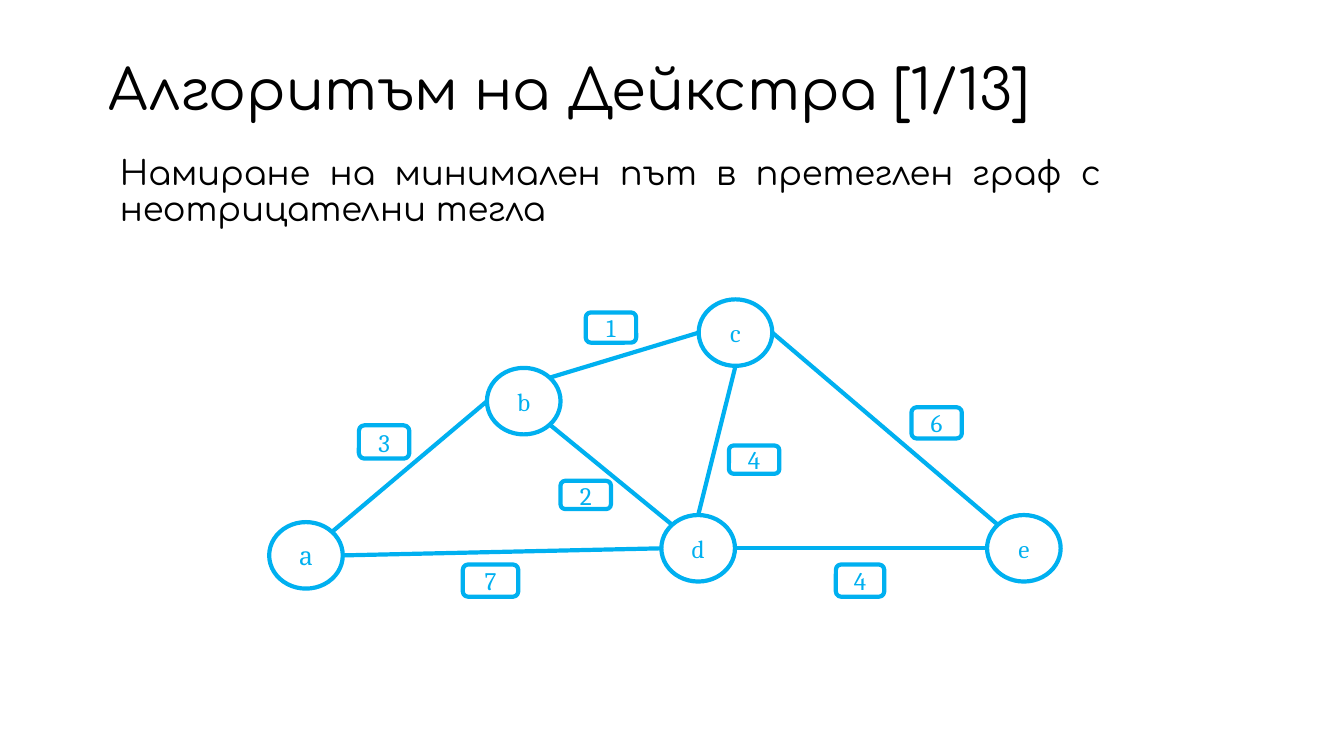
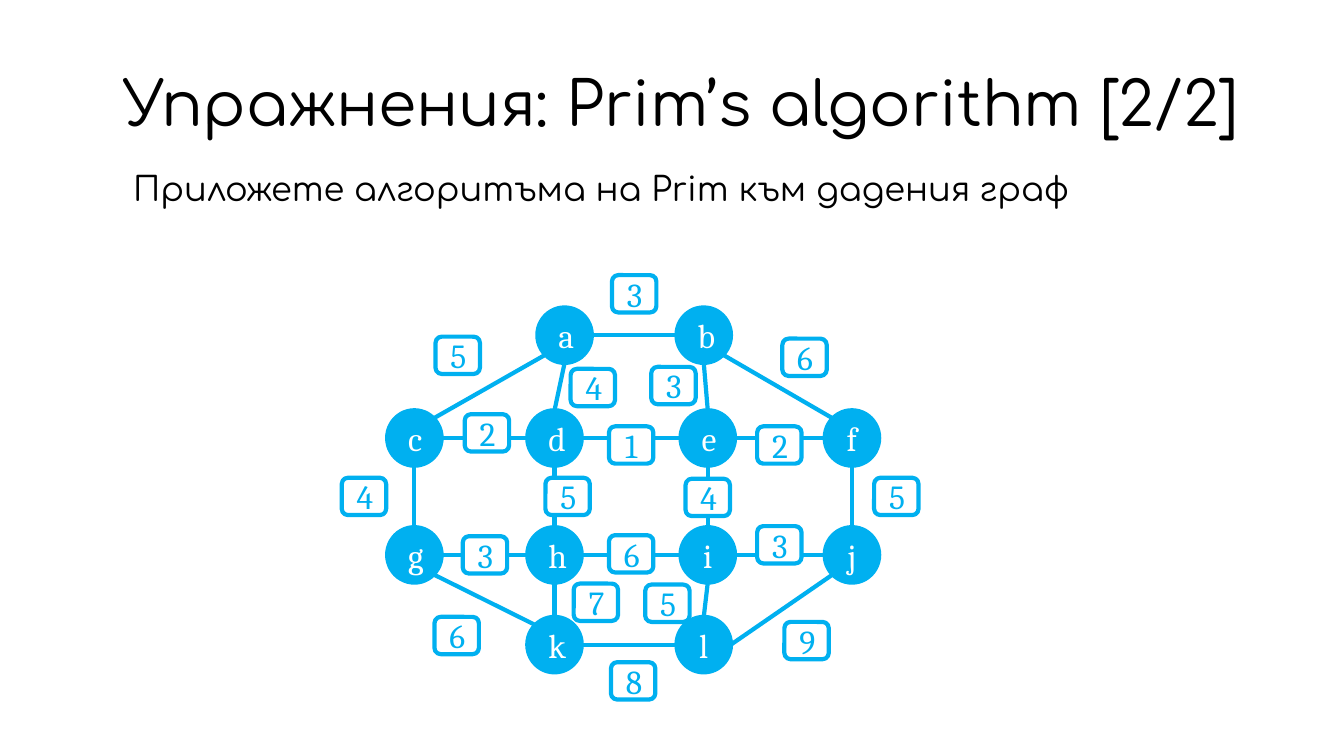
from dataclasses import dataclass
from enum import IntEnum
from math import cos, radians, sin

from lxml import etree
from pptx import Presentation
from pptx import util as u
from pptx.dml.color import RGBColor
from pptx.enum import shapes, text
from pptx.oxml import ns


class Theme:
    """Colours, fonts and sizes shared by the slides."""
    ACCENT = RGBColor(0x00, 0xB0, 0xF0)
    WHITE = RGBColor(0xFF, 0xFF, 0xFF)
    BLACK = RGBColor(0x00, 0x00, 0x00)
    HEADING_FONT = "Comfortaa"
    GRAPH_FONT = "Cambria"
    BODY_SIZE = u.Pt(24)
    LINE_WIDTH = u.Pt(3)
    LINE_SPACING = 0.9
    CORNER = 0.167
    GRAPH_INSET = u.Inches(0.13)
    TEXT_INSETS = {
        "margin_left": u.Inches(0.12), "margin_right": u.Inches(0.12),
        "margin_top": u.Inches(0.04), "margin_bottom": u.Inches(0.04),
    }


class Side(IntEnum):
    """Connection sites of an ellipse, counter-clockwise from the top."""
    N = 0
    NW = 1
    W = 2
    SW = 3
    S = 4
    SE = 5
    E = 6
    NE = 7


@dataclass
class GraphStyle:
    """Look of the nodes and weight labels of one graph."""
    node_size: tuple
    label_size: tuple
    text_size: int
    node_fill: RGBColor = None
    node_color: RGBColor = Theme.ACCENT
    label_fill: RGBColor = None


N, NW, W, SW, S, SE, E, NE = Side

OUTLINED = GraphStyle((0.73, 0.66), (0.5, 0.3), 18)
FILLED = GraphStyle((0.54, 0.55), (0.44, 0.37), 24,
                    Theme.ACCENT, Theme.WHITE, Theme.WHITE)

DIJKSTRA_NODES = {
    "а": (2.67, 5.18), "b": (4.83, 3.65), "c": (6.93, 2.97),
    "d": (6.56, 5.11), "e": (9.79, 5.11),
}
DIJKSTRA_EDGES = [
    ("а", NE, "b", W), ("b", SE, "d", NW), ("а", E, "d", W),
    ("b", NE, "c", W), ("d", N, "c", S), ("c", E, "e", NW),
    ("d", E, "e", W),
]
DIJKSTRA_WEIGHTS = [
    ("3", 3.56, 4.22, 0.5, 0.33), ("7", 4.59, 5.6, 0.55, 0.32),
    ("2", 5.56, 4.77, 0.5, 0.28), ("1", 5.81, 3.1),
    ("4", 7.23, 4.42, 0.5, 0.28), ("4", 8.29, 5.6, 0.48, 0.32),
    ("6", 9.04, 4.04, 0.5, 0.31),
]

PRIM_ROWS = [
    (3.05, {"a": 5.33, "b": 6.71}),
    (4.07, {"c": 3.84, "d": 5.23, "e": 6.75, "f": 8.18}),
    (5.23, {"g": 3.84, "h": 5.23, "i": 6.75, "j": 8.18}),
    (6.12, {"k": 5.23, "l": 6.71}),
]
PRIM_NODES = {name: (left, top) for top, row in PRIM_ROWS
              for name, left in row.items()}
PRIM_EDGES = (
    [(start, E, end, W) for start, end in
     ("ab", "cd", "de", "ef", "gh", "hi", "ij", "kl")]
    + [(start, S, end, N) for start, end in
       ("ad", "be", "cg", "dh", "ei", "fj", "hk", "il")]
    + [("a", SW, "c", NE), ("b", SE, "f", NW),
       ("g", SE, "k", NW), ("j", SW, "l", E)]
)
PRIM_WEIGHTS = [
    ("3", 6.07, 2.73), ("5", 4.32, 3.34), ("6", 7.76, 3.36),
    ("4", 5.66, 3.66), ("3", 6.46, 3.64), ("2", 4.61, 4.11),
    ("1", 6.04, 4.23), ("2", 7.51, 4.23), ("4", 3.39, 4.74),
    ("5", 5.41, 4.74), ("4", 6.8, 4.75), ("5", 8.67, 4.74),
    ("3", 4.59, 5.32), ("6", 6.04, 5.31), ("3", 7.51, 5.22),
    ("7", 5.69, 5.79), ("5", 6.4, 5.8), ("6", 4.31, 6.12),
    ("9", 7.78, 6.17), ("8", 6.06, 6.57),
]


def apply_format(target, values):
    """Set every attribute of a dict of format values."""
    for name, value in values.items():
        setattr(target, name, value)


def write_text(frame, content, font, size, color, align):
    """Write one formatted paragraph into a text frame."""
    paragraph = frame.paragraphs[0]
    paragraph.text = content
    paragraph.alignment = align
    apply_format(paragraph.font, {"name": font, "size": size})
    paragraph.font.color.rgb = color
    return paragraph


def add_text(slide, content, box, size, align=text.PP_ALIGN.LEFT,
             anchor=text.MSO_ANCHOR.TOP):
    """Add a heading or body text box."""
    frame = slide.shapes.add_textbox(*map(u.Inches, box)).text_frame
    apply_format(frame, {"word_wrap": True, "vertical_anchor": anchor,
                         **Theme.TEXT_INSETS})
    paragraph = write_text(frame, content, Theme.HEADING_FONT, size,
                           Theme.BLACK, align)
    paragraph.line_spacing = Theme.LINE_SPACING


def add_title(slide, content, box, size):
    """Add a slide title."""
    add_text(slide, content, box, u.Pt(size), anchor=text.MSO_ANCHOR.MIDDLE)


def add_graph_shape(slide, kind, content, box, fill, color, size):
    """Add an outlined shape holding a centred symbol."""
    shape = slide.shapes.add_shape(kind, *map(u.Inches, box))
    shape.shadow.inherit = False
    if fill is None:
        shape.fill.background()
    else:
        shape.fill.solid()
        shape.fill.fore_color.rgb = fill
    shape.line.color.rgb = Theme.ACCENT
    shape.line.width = Theme.LINE_WIDTH
    frame = shape.text_frame
    apply_format(frame, {"vertical_anchor": text.MSO_ANCHOR.MIDDLE})
    apply_format(frame, {f"margin_{side}": Theme.GRAPH_INSET
                         for side in ("left", "right", "top", "bottom")})
    write_text(frame, content, Theme.GRAPH_FONT, u.Pt(size), color,
               text.PP_ALIGN.CENTER)
    return shape


def site_point(node, side):
    """Return the position of a connection site of an ellipse."""
    angle = radians(90 + 45 * side)
    return (round(node.left + node.width / 2 * (1 + cos(angle))),
            round(node.top + node.height / 2 * (1 - sin(angle))))


def add_edge(slide, start, start_side, end, end_side):
    """Join two nodes with a straight connector."""
    connector = slide.shapes.add_connector(
        shapes.MSO_CONNECTOR.STRAIGHT,
        *site_point(start, start_side), *site_point(end, end_side))
    connector.line.color.rgb = Theme.ACCENT
    connector.line.width = Theme.LINE_WIDTH
    element = connector.element
    etree.SubElement(element.spPr, ns.qn("a:effectLst"))
    joints = (("a:stCxn", start, start_side), ("a:endCxn", end, end_side))
    for tag, node, side in joints:
        etree.SubElement(element.nvCxnSpPr.cNvCxnSpPr, ns.qn(tag),
                         id=str(node.shape_id), idx=str(int(side)))


def add_graph(slide, positions, edges, weights, style):
    """Draw the nodes, edges and weight labels of a graph."""
    nodes = {
        name: add_graph_shape(slide, shapes.MSO_SHAPE.OVAL, name,
                              (*position, *style.node_size), style.node_fill,
                              style.node_color, style.text_size)
        for name, position in positions.items()
    }
    for start, start_side, end, end_side in edges:
        add_edge(slide, nodes[start], start_side, nodes[end], end_side)
    for weight, left, top, *size in weights:
        box = (left, top, *(size or style.label_size))
        label = add_graph_shape(slide, shapes.MSO_SHAPE.ROUNDED_RECTANGLE,
                                weight, box, style.label_fill,
                                Theme.ACCENT, style.text_size)
        label.adjustments[0] = Theme.CORNER


def add_slide(presentation):
    """Add a blank slide."""
    return presentation.slides.add_slide(presentation.slide_layouts[6])


def add_dijkstra_slide(presentation):
    """Build the slide on Dijkstra's algorithm."""
    slide = add_slide(presentation)
    add_title(slide, "Алгоритъм на Дейкстра [1/13]",
              (0.96, 0.5, 11.63, 0.84), 40)
    add_text(slide, "Намиране на минимален път в претеглен граф с "
             "неотрицателни тегла", (1.07, 1.51, 9.97, 1.41),
             Theme.BODY_SIZE, text.PP_ALIGN.JUSTIFY)
    add_graph(slide, DIJKSTRA_NODES, DIJKSTRA_EDGES, DIJKSTRA_WEIGHTS,
              OUTLINED)


def add_prim_slide(presentation):
    """Build the exercise slide on Prim's algorithm."""
    slide = add_slide(presentation)
    add_graph(slide, PRIM_NODES, PRIM_EDGES, PRIM_WEIGHTS, FILLED)
    add_title(slide, "Упражнения: Prim’s algorithm [2/2]",
              (1.11, 0.64, 11.4, 0.84), 44)
    add_text(slide, "Приложете алгоритъма на Prim към дадения граф",
             (1.2, 1.67, 11.31, 1.49), Theme.BODY_SIZE)


def main():
    """Build and save the presentation."""
    presentation = Presentation()
    apply_format(presentation, {"slide_width": u.Inches(13.33),
                                "slide_height": u.Inches(7.5)})
    add_dijkstra_slide(presentation)
    add_prim_slide(presentation)
    presentation.save("out.pptx")


if __name__ == "__main__":
    main()
